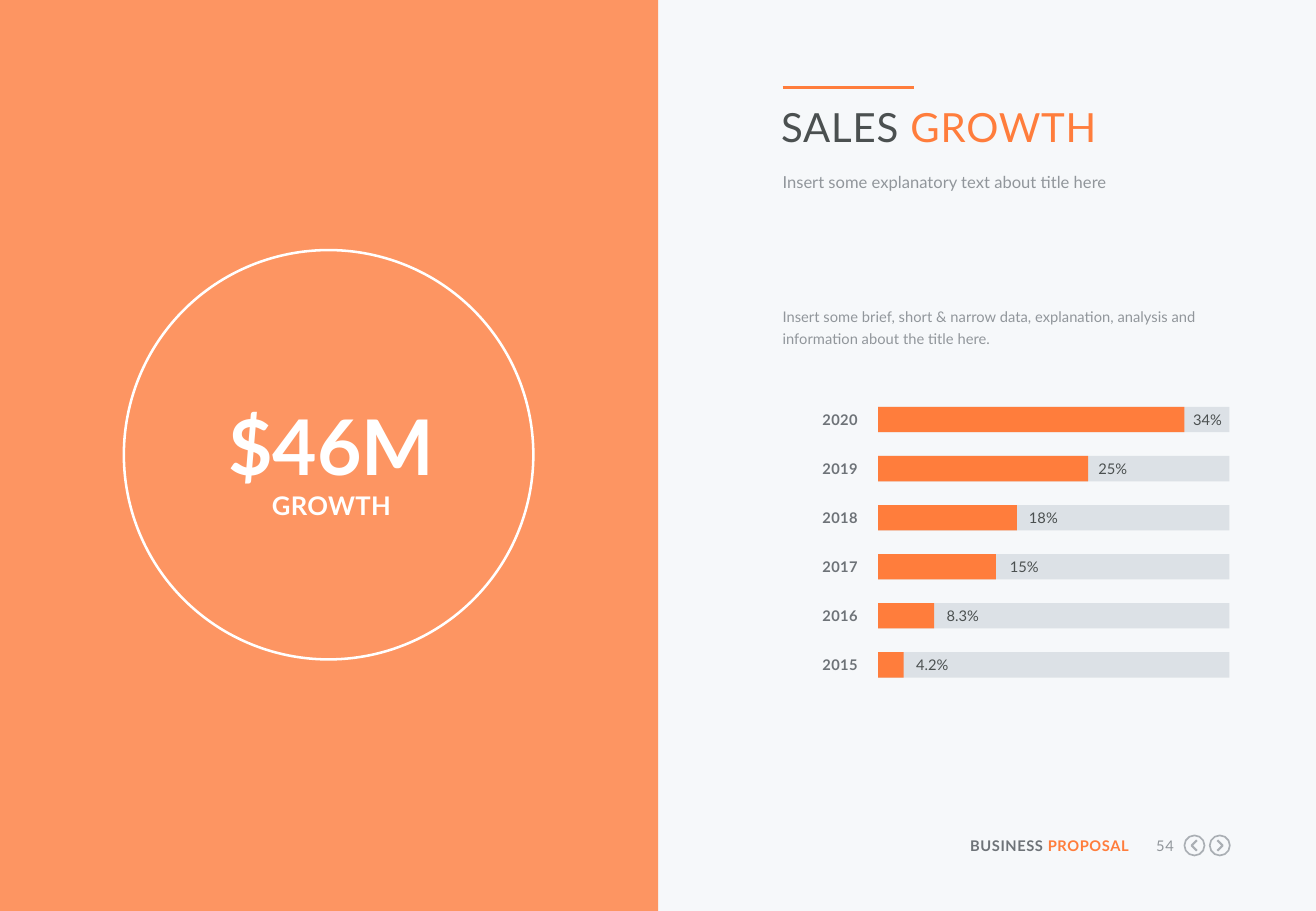
import pptx
import pptx.util
import pptx.dml.color
import pptx.enum.shapes
import pptx.enum.text
import pptx.oxml
import pptx.oxml.ns
from pptx.util import Cm, Pt

RGBColor = pptx.dml.color.RGBColor
ORANGE = RGBColor(0xFF, 0x7D, 0x3C)
WHITE = RGBColor(0xFF, 0xFF, 0xFF)
PAPER = RGBColor(0xF6, 0xF8, 0xFA)
TRACK = RGBColor(0xDC, 0xE1, 0xE6)
DARK = RGBColor(0x4B, 0x50, 0x50)
SLATE = RGBColor(0x6E, 0x73, 0x78)
GREY = RGBColor(0x91, 0x96, 0x9B)
ICON_GREY = RGBColor(0xAA, 0xAF, 0xB4)

SHAPE = pptx.enum.shapes.MSO_SHAPE
ALIGN = pptx.enum.text.PP_ALIGN

presentation = pptx.Presentation()
presentation.slide_width = Cm(27.51)
presentation.slide_height = Cm(19.05)
slide = presentation.slides.add_slide(presentation.slide_layouts[5])
slide.background.fill.solid()
slide.background.fill.fore_color.rgb = PAPER


def write(box, runs, size, align=ALIGN.LEFT, bold=False, spacing=0, leading=None):
    """Fill a text shape with (text, colour) runs; spacing is in points."""
    frame = box.text_frame
    frame.word_wrap = True
    frame.auto_size = pptx.enum.text.MSO_AUTO_SIZE.NONE
    frame.vertical_anchor = pptx.enum.text.MSO_ANCHOR.TOP
    frame.margin_left = frame.margin_right = frame.margin_top = frame.margin_bottom = 0
    paragraph = frame.paragraphs[0]
    paragraph.alignment = align
    if leading:
        paragraph.line_spacing = leading
    for text, colour in runs:
        run = paragraph.add_run()
        run.text = text
        run.font.name = "Lato"
        run.font.size = Pt(size)
        run.font.bold = bold
        run.font.color.rgb = colour
        if spacing:
            run.font._element.set("spc", str(round(spacing * 100)))


def add_plain(kind, left, top, width, height, fill=None, line=None, weight=1):
    """Add a flat preset shape, measured in centimetres."""
    shape = slide.shapes.add_shape(kind, Cm(left), Cm(top), Cm(width), Cm(height))
    shape.shadow.inherit = False
    if fill is None:
        shape.fill.background()
    else:
        shape.fill.solid()
        shape.fill.fore_color.rgb = fill
    if line is None:
        shape.line.fill.background()
    else:
        shape.line.color.rgb = line
        shape.line.width = Pt(weight)
    return shape


# Left panel, slightly transparent
panel = add_plain(SHAPE.RECTANGLE, 0, 0, 13.76, 19.05, fill=ORANGE)
panel_colour = panel._element.spPr.find(".//" + pptx.oxml.ns.qn("a:srgbClr"))
panel_colour.append(pptx.oxml.parse_xml(
    f'<a:alpha {pptx.oxml.ns.nsdecls("a")} val="80000"/>'))

# Key figure in a ring
add_plain(SHAPE.OVAL, 2.59, 5.23, 8.56, 8.56, line=WHITE, weight=1.5)
key_figure = slide.shapes.add_textbox(Cm(4.06), Cm(7.95), Cm(5.74), Cm(2.34))
write(key_figure, [("$46M", WHITE)], 45.5, ALIGN.CENTER, bold=True, leading=1.2)
key_label = slide.shapes.add_textbox(Cm(4.06), Cm(10.24), Cm(5.74), Cm(0.66))
write(key_label, [("GROWTH", WHITE)], 15.2, ALIGN.CENTER, bold=True, spacing=0.2)

# Heading: accent line, title, subtitle and introduction
accent = slide.shapes.add_connector(
    pptx.enum.shapes.MSO_CONNECTOR.STRAIGHT, Cm(16.36), Cm(1.83), Cm(19.1), Cm(1.83))
accent.line.color.rgb = ORANGE
accent.line.width = Pt(2.25)
accent._element.spPr.append(pptx.oxml.parse_xml(
    f'<a:effectLst {pptx.oxml.ns.nsdecls("a")}/>'))

title = slide.shapes.title
title.left, title.top, title.width, title.height = Cm(16.33), Cm(2.13), Cm(9.4), Cm(1.02)
write(title, [("SALES ", DARK), ("GROWTH", ORANGE)], 23.8, spacing=0.5)

subtitle = slide.shapes.add_textbox(Cm(16.36), Cm(3.58), Cm(9.37), Cm(0.43))
write(subtitle, [("Insert some explanatory text about title here", GREY)], 9.8, leading=Pt(12))

introduction = slide.shapes.add_textbox(Cm(16.36), Cm(6.32), Cm(9.35), Cm(0.97))
write(introduction, [("Insert some brief, short & narrow data, explanation, analysis "
                      "and information about the title here.", GREY)], 8.7, leading=1.3)

# Growth bars: year, value, bar width, left edge of the value
growth = [
    ("2020", "34%", 6.4, 24.94),
    ("2019", "25%", 4.39, 22.96),
    ("2018", "18%", 2.9, 21.51),
    ("2017", "15%", 2.46, 21.11),
    ("2016", "8.3%", 1.17, 19.79),
    ("2015", "4.2%", 0.53, 19.15),
]
BAR_LEFT, BAR_HEIGHT, TRACK_WIDTH = 18.36, 0.53, 7.34
FIRST_TOP, LAST_TOP = 8.51, 13.64
row_step = (LAST_TOP - FIRST_TOP) / (len(growth) - 1)

for row, (year, value, bar_width, value_left) in enumerate(growth):
    top = FIRST_TOP + row * row_step
    text_top = Cm(top + 0.08)
    year_label = slide.shapes.add_textbox(Cm(16.33), text_top, Cm(1.6), Cm(0.38))
    write(year_label, [(year, SLATE)], 8.7, ALIGN.RIGHT, bold=True, spacing=0.2)
    for width, colour in ((TRACK_WIDTH, TRACK), (bar_width, ORANGE)):
        add_plain(SHAPE.RECTANGLE, BAR_LEFT, top, width, BAR_HEIGHT, fill=colour)
    value_label = slide.shapes.add_textbox(Cm(value_left), text_top, Cm(0.74), Cm(0.38))
    write(value_label, [(value, DARK)], 8.7)

# Footer with page number
footer = slide.shapes.add_textbox(Cm(20.12), Cm(17.5), Cm(3.48), Cm(0.38))
write(footer, [("BUSINESS ", SLATE), ("PROPOSAL", ORANGE)], 8.7, ALIGN.RIGHT,
      bold=True, spacing=0.3)
page_number = slide.shapes.add_textbox(Cm(23.9), Cm(17.5), Cm(0.64), Cm(0.38))
write(page_number, [("54", GREY)], 8.7, ALIGN.RIGHT, spacing=0.3)

# Previous and next buttons: ring and chevron
ICON_MIDDLE, RING_RADIUS = 17.68, 0.21
for centre, direction in ((24.97, -1), (25.5, 1)):
    add_plain(SHAPE.OVAL, centre - RING_RADIUS, ICON_MIDDLE - RING_RADIUS,
              2 * RING_RADIUS, 2 * RING_RADIUS, line=ICON_GREY, weight=1)
    back, tip = Cm(centre - direction * 0.05), Cm(centre + direction * 0.06)
    outline = slide.shapes.build_freeform(back, Cm(ICON_MIDDLE - 0.11))
    outline.add_line_segments(
        [(tip, Cm(ICON_MIDDLE)), (back, Cm(ICON_MIDDLE + 0.11))], close=False)
    chevron = outline.convert_to_shape()
    chevron.shadow.inherit = False
    chevron.fill.background()
    chevron.line.color.rgb = ICON_GREY
    chevron.line.width = Pt(1.25)

presentation.save("out.pptx")
